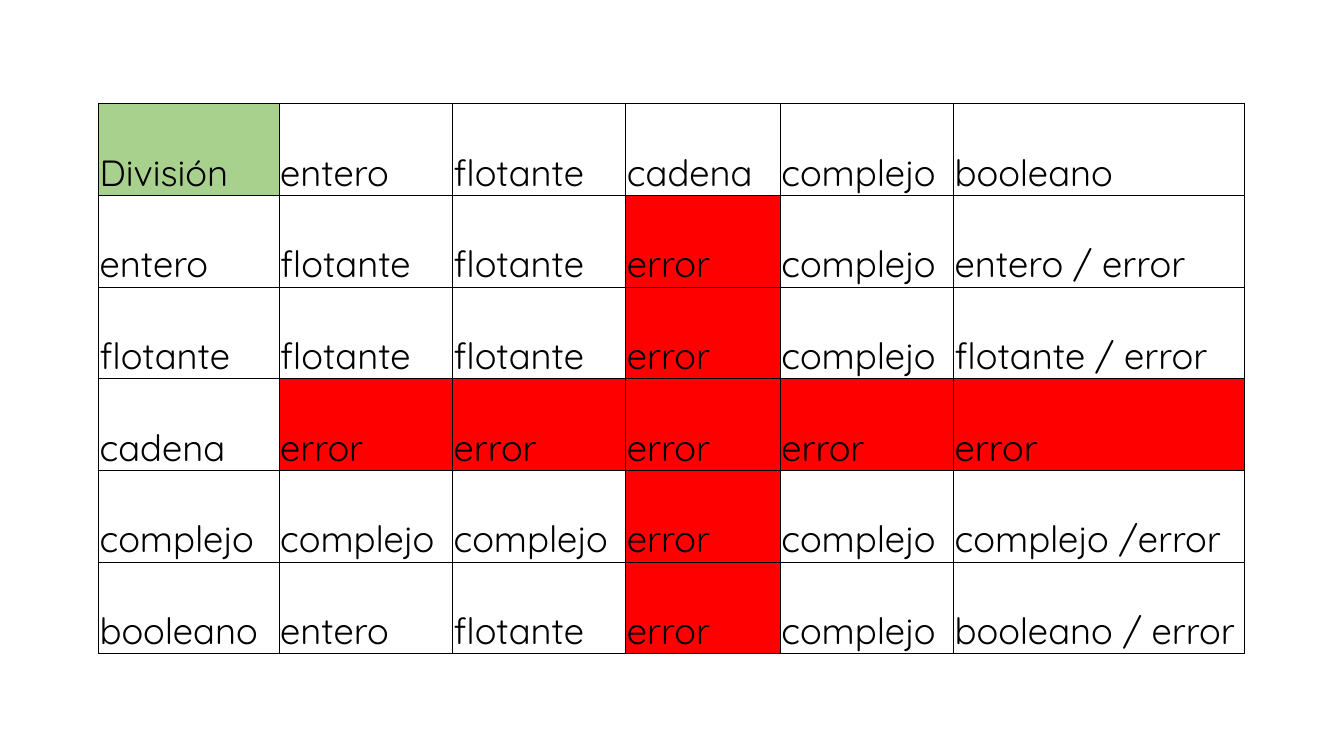
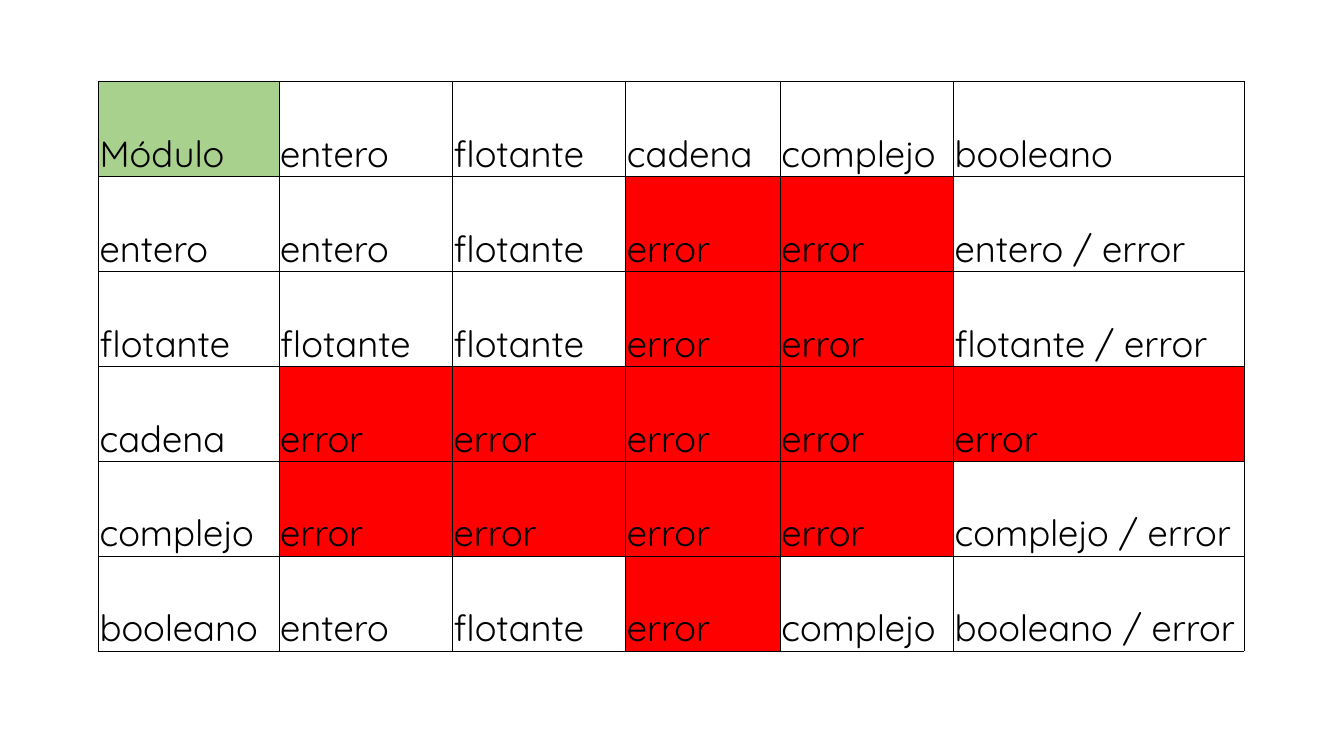
from lxml import etree
from pptx import Presentation
from pptx import util as u
from pptx.dml import color
from pptx.enum import text
from pptx.oxml import ns

HUES = {"ink": "000000", "corner": "A9D18E", "error": "FF0000"}
CELL = {
    "margin_left": u.Cm(0.03),
    "margin_right": u.Cm(0.03),
    "margin_top": u.Cm(0.03),
    "margin_bottom": u.Cm(0),
    "vertical_anchor": text.MSO_ANCHOR.BOTTOM,
}
FONT = {"name": "Quicksand", "size": u.Pt(26), "bold": False}
PLAIN = {"first_row": False, "horz_banding": False}
LEFT = 2.48
COLS = [4.55, 4.37, 4.37, 3.89, 4.37, 7.32]
TYPES = ["entero", "flotante", "cadena", "complejo", "booleano"]

# Each grid: title, top, row height, result rows in the order of TYPES
GRIDS = [
    ("División", 2.61, 2.31, [
        ["flotante", "flotante", "error", "complejo", "entero / error"],
        ["flotante", "flotante", "error", "complejo", "flotante / error"],
        ["error"] * 5,
        ["complejo", "complejo", "error", "complejo", "complejo /error"],
        ["entero", "flotante", "error", "complejo", "booleano / error"],
    ]),
    ("Módulo", 2.06, 2.39, [
        ["entero", "flotante", "error", "error", "entero / error"],
        ["flotante", "flotante", "error", "error", "flotante / error"],
        ["error"] * 5,
        ["error"] * 4 + ["complejo / error"],
        ["entero", "flotante", "error", "complejo", "booleano / error"],
    ]),
]


def style(item, values):
    for name, value in values.items():
        setattr(item, name, value)


def rgb(hue):
    return color.RGBColor.from_string(HUES[hue])


def edge(cell):
    """Draw a thin line on all four sides of a cell."""
    props = cell._tc.get_or_add_tcPr()
    for side in ("lnL", "lnR", "lnT", "lnB"):
        line = etree.SubElement(props, ns.qn(f"a:{side}"), w=str(u.Pt(0.5)))
        fill = etree.SubElement(line, ns.qn("a:solidFill"))
        etree.SubElement(fill, ns.qn("a:srgbClr"), val=HUES["ink"])


def write(cell, words, hue):
    """Set the text of a cell, and its fill if a hue is given."""
    style(cell, CELL)
    edge(cell)
    if hue:
        cell.fill.solid()
        cell.fill.fore_color.rgb = rgb(hue)
    else:
        cell.fill.background()
    run = cell.text_frame.paragraphs[0].add_run()
    run.text = words
    style(run.font, FONT)
    run.font.color.rgb = rgb("ink")


def add_grid(slide, title, top, high, body):
    rows = [[title] + TYPES] + [[kind] + row for kind, row in zip(TYPES, body)]
    table = slide.shapes.add_table(
        len(rows), len(COLS), u.Cm(LEFT), u.Cm(top),
        u.Cm(sum(COLS)), u.Cm(high * len(rows))).table
    style(table, PLAIN)
    for col, wide in zip(table.columns, COLS):
        col.width = u.Cm(wide)
    for r, row in enumerate(rows):
        table.rows[r].height = u.Cm(high)
        for c, words in enumerate(row):
            hue = "corner" if r == c == 0 else "error" if words == "error" else None
            write(table.cell(r, c), words, hue)


def main():
    deck = Presentation()
    style(deck, {"slide_width": u.Cm(33.87), "slide_height": u.Cm(19.05)})
    for grid in GRIDS:
        add_grid(deck.slides.add_slide(deck.slide_layouts[6]), *grid)
    deck.save("out.pptx")


if __name__ == "__main__":
    main()
